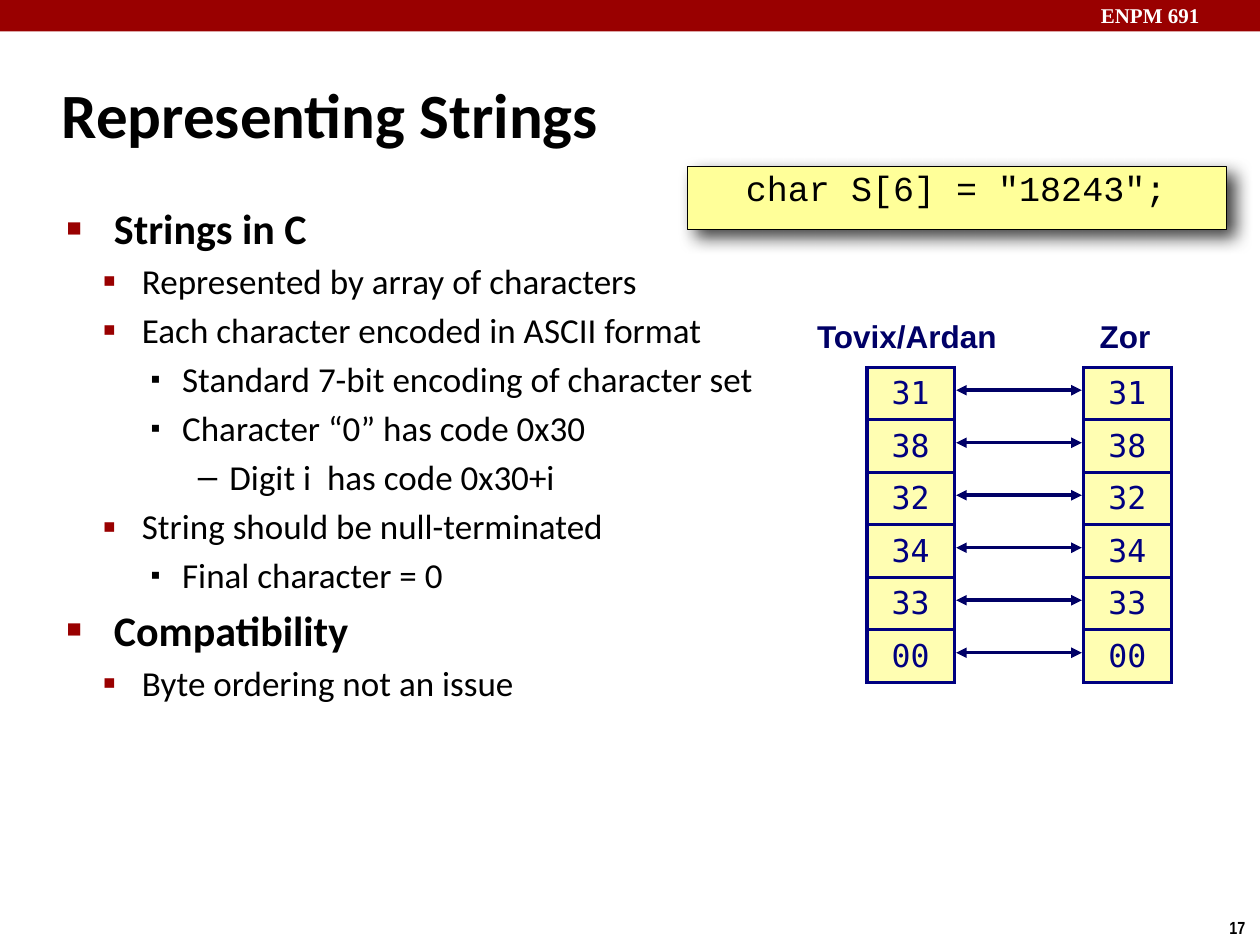
"""Build a slide on how strings are represented in C."""
from lxml.etree import SubElement
from pptx import Presentation
from pptx.dml.color import RGBColor
from pptx.enum.shapes import MSO_CONNECTOR, MSO_SHAPE
from pptx.enum.text import MSO_ANCHOR, PP_ALIGN
from pptx.oxml import parse_xml
from pptx.oxml.ns import nsdecls, qn
from pptx.util import Pt

COLORS = {"red": "990000", "white": "FFFFFF", "black": "000000", "code": "FFFF99",
          "label": "000066", "byte": "000080", "cell": "FFFEB2"}
HEADER = "ENPM 691"
TITLE = "Representing Strings"
NUMBER = "17"
CODE = 'char S[6] = "18243";'
BULLETS = [
    (0, "Strings in C"),
    (1, "Represented by array of characters"),
    (1, "Each character encoded in ASCII format"),
    (2, "Standard 7-bit encoding of character set"),
    (2, "Character “0” has code 0x30"),
    (3, "Digit i  has code 0x30+i"),
    (1, "String should be null-terminated"),
    (2, "Final character = 0"),
    (0, "Compatibility"),
    (1, "Byte ordering not an issue"),
]
LEVELS = [
    dict(size=24, bold=True, before=4.8, left=27, indent=-27, bullet=("■", "red", 60)),
    dict(size=20, before=4, left=43, indent=-22.5, bullet=("▪", "red", 110)),
    dict(size=20, before=4, left=66, indent=-18, bullet=("▪", "black", 80)),
    dict(size=20, before=4, left=93, indent=-18, bullet=("–", "black", 100)),
]
BYTES = ["31", "38", "32", "34", "33", "00"]
MACHINES = [("Tovix/Ardan", 495.4, 462.2, 115), ("Zor", 619.2, 621.4, 46)]
TABLE_TOP, CELL_W, CELL_H = 210, 50, 30


def rgb(name):
    return RGBColor.from_string(COLORS[name])


def write(p, text, font="Calibri", size=20, color="black", bold=False, align=None,
          before=None, spacing=None, left=0, indent=0, level=0, bullet=None):
    p.level = level
    if align is not None:
        p.alignment = align
    if before is not None:
        p.space_before = Pt(before)
    if spacing is not None:
        p.line_spacing = spacing
    pPr = p._p.get_or_add_pPr()
    pPr.set("marL", str(Pt(left)))
    pPr.set("indent", str(Pt(indent)))
    if bullet:
        char, tint, percent = bullet
        SubElement(SubElement(pPr, qn("a:buClr")), qn("a:srgbClr"), val=COLORS[tint])
        SubElement(pPr, qn("a:buSzPct"), val=str(percent * 1000))
        SubElement(pPr, qn("a:buFont"), typeface="Arial")
        SubElement(pPr, qn("a:buChar"), char=char)
    r = p.add_run()
    r.text = text
    r.font.name, r.font.size, r.font.bold = font, Pt(size), bold
    r.font.color.rgb = rgb(color)


def set_margins(obj, left, top, right, bottom):
    obj.margin_left, obj.margin_top = Pt(left), Pt(top)
    obj.margin_right, obj.margin_bottom = Pt(right), Pt(bottom)


def add_text(s, x, y, w, h, wrap=True):
    tf = s.shapes.add_textbox(Pt(x), Pt(y), Pt(w), Pt(h)).text_frame
    tf.word_wrap = wrap
    return tf


def add_box(s, x, y, w, h, fill):
    sp = s.shapes.add_shape(MSO_SHAPE.RECTANGLE, Pt(x), Pt(y), Pt(w), Pt(h))
    sp.shadow.inherit = False
    sp.fill.solid()
    sp.fill.fore_color.rgb = rgb(fill)
    sp.line.fill.background()
    return sp


def add_code(s):
    sp = add_box(s, 393, 95, 308, 36, "code")
    sp.line.color.rgb, sp.line.width = rgb("black"), Pt(0.5)
    effects = sp._element.spPr.find(qn("a:effectLst"))
    shadow = SubElement(effects, qn("a:outerShdw"), blurRad=str(Pt(10)), dist=str(Pt(6)),
                        dir=str(45 * 60000), algn="tl", rotWithShape="0")
    tint = SubElement(shadow, qn("a:srgbClr"), val=COLORS["black"])
    SubElement(tint, qn("a:alpha"), val="75000")
    tf = sp.text_frame
    tf.word_wrap, tf.vertical_anchor = True, MSO_ANCHOR.TOP
    set_margins(tf, 2, 2, 5, 2)
    write(tf.paragraphs[0], CODE, font="Courier New", align=PP_ALIGN.CENTER,
          before=11.5, spacing=0.95, left=32, indent=-30)


def add_arrow(s, x1, x2, y):
    c = s.shapes.add_connector(MSO_CONNECTOR.STRAIGHT, Pt(x1), Pt(y), Pt(x2), Pt(y))
    c.line.color.rgb, c.line.width = rgb("label"), Pt(2)
    ln = c.line._get_or_add_ln()
    for end in ("a:headEnd", "a:tailEnd"):
        SubElement(ln, qn(end), type="triangle")
    SubElement(c._element.spPr, qn("a:effectLst"))


def add_bytes(s, x):
    table = s.shapes.add_table(len(BYTES), 1, Pt(x), Pt(TABLE_TOP), Pt(CELL_W),
                               Pt(CELL_H * len(BYTES))).table
    table.first_row = table.horz_banding = False
    for i, value in enumerate(BYTES):
        table.rows[i].height = Pt(CELL_H)
        cell = table.cell(i, 0)
        tcPr = cell._tc.get_or_add_tcPr()
        for side in "LRTB":
            tcPr.append(parse_xml(
                f'<a:ln{side} {nsdecls("a")} w="{Pt(2)}"><a:solidFill>'
                f'<a:srgbClr val="{COLORS["byte"]}"/></a:solidFill></a:ln{side}>'))
        cell.fill.solid()
        cell.fill.fore_color.rgb = rgb("cell")
        cell.vertical_anchor = MSO_ANCHOR.MIDDLE
        set_margins(cell, 4, 4, 4, 4)
        write(cell.text_frame.paragraphs[0], value, font="DejaVu Sans Mono", size=18,
              color="byte", align=PP_ALIGN.CENTER)


def main():
    prs = Presentation()
    prs.slide_width, prs.slide_height = Pt(720), Pt(540)
    s = prs.slides.add_slide(prs.slide_layouts[5])

    add_box(s, 0, 0, 720, 18, "red")
    write(add_text(s, 622, -2, 103, 22).paragraphs[0], HEADER,
          font="Times New Roman", size=12, color="white", bold=True)
    write(add_text(s, 695.5, 520.5, 24.5, 19.5, wrap=False).paragraphs[0], NUMBER,
          font="Arial Narrow", size=10, bold=True)
    add_code(s)

    title = s.shapes.title
    title.left, title.top, title.width, title.height = Pt(28), Pt(34.5), Pt(598), Pt(60)
    title.text_frame.vertical_anchor = MSO_ANCHOR.MIDDLE
    write(title.text_frame.paragraphs[0], TITLE, size=36, bold=True,
          align=PP_ALIGN.LEFT, left=9, indent=-9)

    tf = add_text(s, 31, 112, 622, 392)
    for i, (level, text) in enumerate(BULLETS):
        p = tf.add_paragraph() if i else tf.paragraphs[0]
        write(p, text, level=level, **LEVELS[level])

    left_edge, right_edge = MACHINES[0][1] + CELL_W, MACHINES[1][1]
    for i in range(len(BYTES)):
        add_arrow(s, left_edge + 1, right_edge - 1, TABLE_TOP + 13 + CELL_H * i)
    for name, table_x, label_x, label_w in MACHINES:
        label = add_text(s, label_x, 177, label_w, 30, wrap=False)
        set_margins(label, 4, 4, 7, 4)
        write(label.paragraphs[0], name, font="Arial", size=18, color="label",
              bold=True, align=PP_ALIGN.CENTER)
        add_bytes(s, table_x)

    prs.save("out.pptx")


if __name__ == "__main__":
    main()
